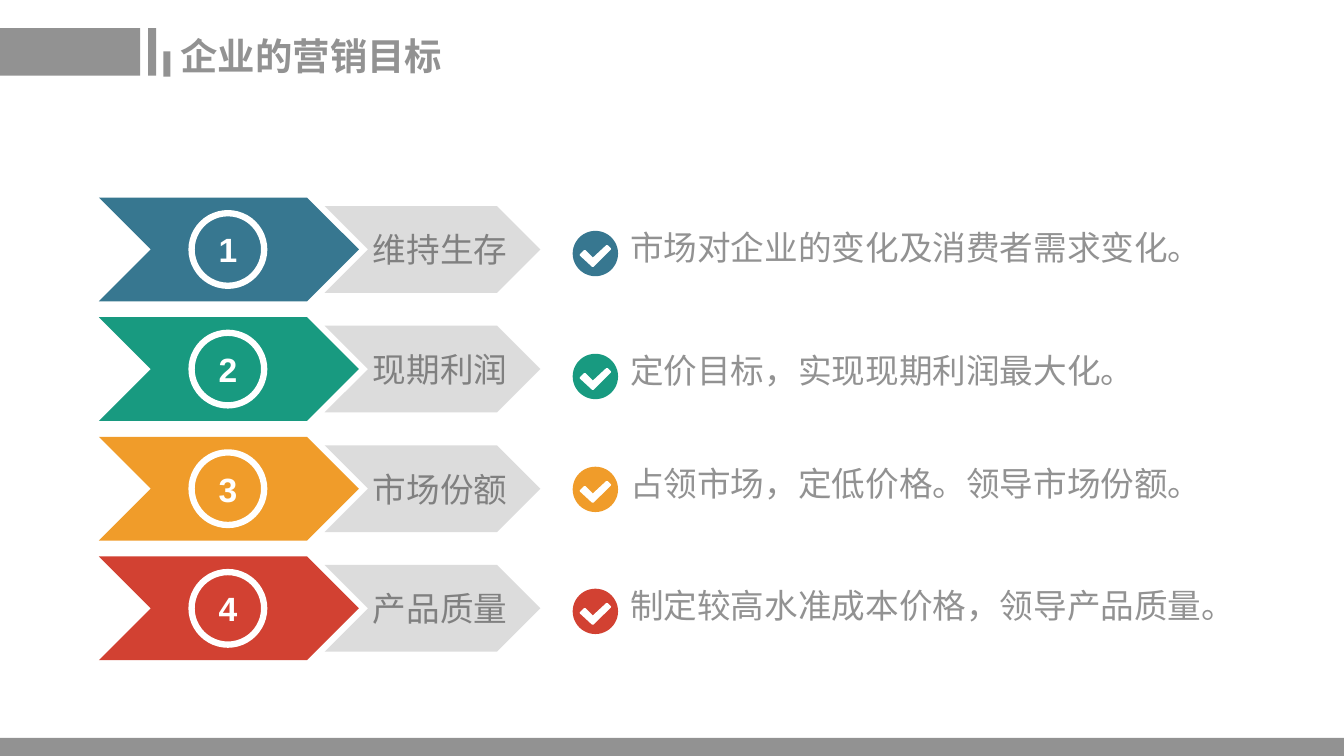
from lxml import etree
from pptx import Presentation
from pptx.dml.color import RGBColor
from pptx.enum.shapes import MSO_SHAPE
from pptx.enum.text import MSO_ANCHOR, PP_ALIGN
from pptx.oxml.ns import qn
from pptx.util import Inches, Pt

RECTANGLE, OVAL, CHEVRON = MSO_SHAPE.RECTANGLE, MSO_SHAPE.OVAL, MSO_SHAPE.CHEVRON
LEFT, CENTER = PP_ALIGN.LEFT, PP_ALIGN.CENTER
TOP, MIDDLE = MSO_ANCHOR.TOP, MSO_ANCHOR.MIDDLE

GREY = RGBColor(0x92, 0x92, 0x92)
TAG_GREY = RGBColor(0xD9, 0xD9, 0xD9)
LABEL_GREY = RGBColor(0x80, 0x80, 0x80)
WHITE = RGBColor(0xFF, 0xFF, 0xFF)
BLUE = RGBColor(0x37, 0x77, 0x90)
GREEN = RGBColor(0x18, 0x9A, 0x80)
ORANGE = RGBColor(0xF0, 0x9C, 0x2A)
RED = RGBColor(0xD2, 0x41, 0x32)

CJK_FONT = "Noto Sans CJK SC"
SLIDE_WIDTH, SLIDE_HEIGHT = 13.33, 7.5
FIRST_ROW_TOP, LAST_ROW_TOP, ROW_HEIGHT = 1.96, 5.52, 1.03
ROW_LEFT = 0.98
CHECK_OUTLINE = [(0.34, 0.15), (0.2, 0.28), (0.12, 0.2), (0.08, 0.24),
                 (0.2, 0.35), (0.37, 0.18)]

GOALS = [
    ("维持生存", "市场对企业的变化及消费者需求变化。", BLUE, 2.25),
    ("现期利润", "定价目标，实现现期利润最大化。", GREEN, 3.47),
    ("市场份额", "占领市场，定低价格。领导市场份额。", ORANGE, 4.59),
    ("产品质量", "制定较高水准成本价格，领导产品质量。", RED, 5.8),
]


def add_filled(shapes, preset, left, top, width, height, color):
    """Add a flat preset shape without outline."""
    shape = shapes.add_shape(preset, Inches(left), Inches(top), Inches(width), Inches(height))
    shape.shadow.inherit = False
    shape.fill.solid()
    shape.fill.fore_color.rgb = color
    shape.line.fill.background()
    return shape


def write(frame, text, font_name, size, color, bold=False, align=LEFT):
    """Write one uniformly formatted paragraph."""
    paragraph = frame.paragraphs[0]
    paragraph.text = text
    paragraph.alignment = align
    font = paragraph.font
    font.size, font.bold, font.name = Pt(size), bold, font_name
    font.color.rgb = color
    defaults = paragraph._p.pPr.find(qn("a:defRPr"))
    etree.SubElement(defaults, qn("a:ea"), typeface=font_name)


def add_text(shapes, left, top, width, height, text, size, color, bold=False,
             align=LEFT, anchor=TOP, inset=(0, 0), wrap=True):
    """Add a text box with the given side and top insets."""
    box = shapes.add_textbox(Inches(left), Inches(top), Inches(width), Inches(height))
    frame = box.text_frame
    frame.word_wrap = wrap
    frame.vertical_anchor = anchor
    frame.margin_left = frame.margin_right = Inches(inset[0])
    frame.margin_top = frame.margin_bottom = Inches(inset[1])
    write(frame, text, CJK_FONT, size, color, bold, align)


def add_header(shapes, top, title):
    """Place the grey bars and the slide title."""
    for left, offset, width, height in [(0, 0, 1.39, 0.47), (1.47, 0, 0.08, 0.47),
                                        (1.62, 0.23, 0.07, 0.25)]:
        add_filled(shapes, RECTANGLE, left, top + offset, width, height, GREY)
    add_text(shapes, 1.69, top, 3.01, 0.55, title, 26.7, GREY, bold=True, inset=(0.1, 0.05))


def add_footer(shapes, height):
    """Place the grey band along the bottom edge."""
    add_filled(shapes, RECTANGLE, 0, SLIDE_HEIGHT - height, SLIDE_WIDTH, height, GREY)


def add_number_arrow(shapes, left, top, height, number, color):
    """Place a coloured chevron with its numbered ring."""
    add_filled(shapes, CHEVRON, left, top, 2.58, height, color)
    diameter = 0.72
    ring = add_filled(shapes, OVAL, left + 0.92, top + (height - diameter) / 2,
                      diameter, diameter, color)
    ring.line.color.rgb = WHITE
    ring.line.width = Pt(4.5)
    ring.text_frame.vertical_anchor = MIDDLE
    write(ring.text_frame, str(number), "Arial", 24, WHITE, bold=True, align=CENTER)


def add_label_tag(shapes, left, top, height, label):
    """Place a grouped translucent chevron and its label."""
    tag_height, label_height = 0.86, 0.4
    group = shapes.add_group_shape().shapes
    tag = add_filled(group, CHEVRON, left, top + (height - tag_height) / 2,
                     2.14, tag_height, TAG_GREY)
    tag_color = tag._element.spPr.find(qn("a:solidFill"))[0]
    etree.SubElement(tag_color, qn("a:alpha"), val="90000")
    add_text(group, left + 0.47, top + (height - label_height) / 2, 1.35, label_height,
             label, 24, LABEL_GREY, align=CENTER, anchor=MIDDLE, wrap=False)


def add_check_note(shapes, left, top, note, color):
    """Place a round check badge and the note beside it."""
    badge_top = top + 0.04
    add_filled(shapes, OVAL, left, badge_top, 0.45, 0.45, color)
    points = [(Inches(left + x), Inches(badge_top + y)) for x, y in CHECK_OUTLINE]
    builder = shapes.build_freeform(*points[0])
    builder.add_line_segments(points[1:], close=True)
    check = builder.convert_to_shape()
    check.shadow.inherit = False
    check.fill.solid()
    check.fill.fore_color.rgb = WHITE
    check.line.color.rgb = WHITE
    check.line.width = Pt(1.5)
    add_text(shapes, left + 0.57, top, 5.89, 0.4, note, 24, GREY)


def add_goals(shapes, left, first_top, last_top):
    """Spread the goal rows evenly between the first and last top."""
    pitch = (last_top - first_top) / (len(GOALS) - 1)
    for index, (label, note, color, note_top) in enumerate(GOALS):
        top = first_top + index * pitch
        add_number_arrow(shapes, left, top, ROW_HEIGHT, index + 1, color)
        add_label_tag(shapes, left + 2.24, top, ROW_HEIGHT, label)
        add_check_note(shapes, left + 4.7, note_top, note, color)


def main():
    """Build and save the slide."""
    presentation = Presentation()
    presentation.slide_width = Inches(SLIDE_WIDTH)
    presentation.slide_height = Inches(SLIDE_HEIGHT)
    shapes = presentation.slides.add_slide(presentation.slide_layouts[6]).shapes
    add_header(shapes, 0.28, "企业的营销目标")
    add_footer(shapes, 0.18)
    add_goals(shapes, ROW_LEFT, FIRST_ROW_TOP, LAST_ROW_TOP)
    presentation.save("out.pptx")


if __name__ == "__main__":
    main()
